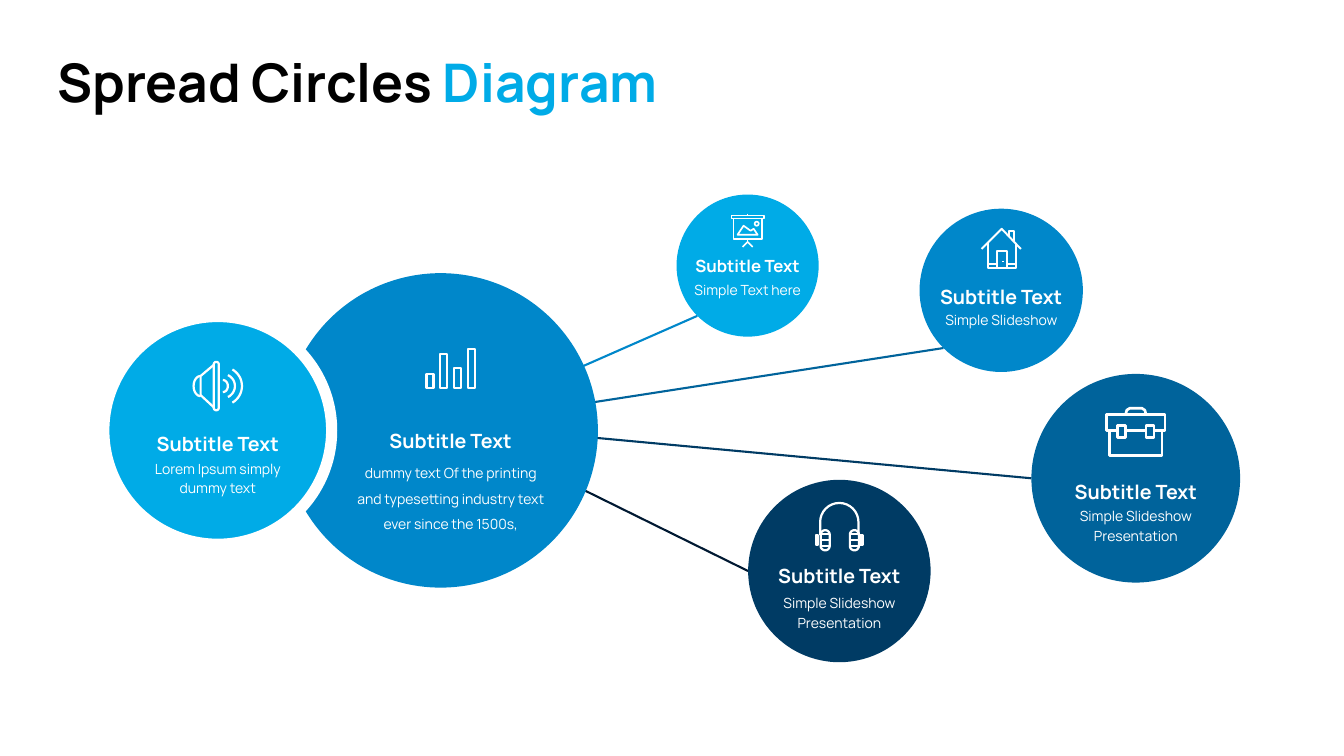
from dataclasses import dataclass
from math import cos, radians, sin

from lxml.etree import SubElement
from pptx import Presentation
from pptx.dml.color import RGBColor
from pptx.enum.shapes import MSO_CONNECTOR, MSO_SHAPE
from pptx.enum.text import MSO_AUTO_SIZE, PP_ALIGN
from pptx.oxml.ns import qn
from pptx.util import Inches, Pt

COLORS = {
    "white": "FFFFFF", "black": "000000", "sky": "00ABE7", "blue": "0087CA",
    "steel": "00639B", "navy": "003B64", "midnight": "001932",
}
FONT = "Manrope"
HUB = (4.47, 4.21)


@dataclass
class Bubble:
    """A circle with its icon, subtitle and text; offsets count from its top."""
    left: float
    top: float
    diameter: float
    fill: str
    icon: str
    icon_offset: float
    subtitle_offset: float
    body_offset: float
    body: str
    text_width: float = 1.88
    subtitle_size: int = 14
    body_height: float = 0.48
    line_spacing: int = 14
    shift: float = 0
    outline: str = ""
    link: str = ""
    link_angle: int = 180


BUBBLES = [
    Bubble(2.81, 2.71, 3.12, "blue", "chart", 0.74, 1.5, 1.77,
           "dummy text Of the printing and typesetting industry text ever since the 1500s,",
           text_width=2.16, body_height=0.83, line_spacing=18, shift=0.1),
    Bubble(1.03, 3.14, 2.26, "sky", "speaker", 0.44, 1.1, 1.35,
           "Lorem Ipsum simply dummy text", outline="white"),
    Bubble(6.71, 1.93, 1.41, "sky", "board", 0.19, 0.56, 0.79, "Simple Text here",
           text_width=1.28, subtitle_size=12, link="blue", link_angle=135),
    Bubble(9.12, 2.07, 1.62, "blue", "house", 0.19, 0.71, 0.94, "Simple Slideshow",
           text_width=1.45, link="steel", link_angle=135),
    Bubble(10.23, 3.71, 2.07, "steel", "briefcase", 0.33, 1, 1.25,
           "Simple Slideshow Presentation", link="navy"),
    Bubble(7.42, 4.76, 1.81, "navy", "headphones", 0.21, 0.79, 1.06,
           "Simple Slideshow Presentation", link="midnight"),
]


def color(name):
    """Return the named colour."""
    return RGBColor.from_string(COLORS[name])


def arc(x, y, radius_x, radius_y, start, end):
    """Return points along an arc, with angles running clockwise."""
    angles = [radians(start + (end - start) * step / 16) for step in range(17)]
    return [(x + radius_x * cos(a), y + radius_y * sin(a)) for a in angles]


def rect(x, y, width, height):
    """Return the closed outline of a rectangle."""
    right, bottom = x + width, y + height
    return [(x, y), (right, y), (right, bottom), (x, bottom), (x, y)]


def pill(x, top, bottom, radius):
    """Return the closed outline of an upright pill."""
    points = arc(x, top + radius, radius, radius, 180, 360)
    points += arc(x, bottom - radius, radius, radius, 0, 180)
    return points + points[:1]


def headphone_cup(x, outer_x):
    """Return the strokes of one ear cup."""
    rungs = [[(x - 0.045, y), (x + 0.045, y)] for y in (0.33, 0.39, 0.45)]
    return [pill(x, 0.29, 0.49, 0.045), rect(outer_x, 0.34, 0.02, 0.1), *rungs]


ICONS = {
    "chart": (0.5, 1.6, [rect(0.01 + 0.137 * i, top, 0.07, 0.4 - top)
                         for i, top in enumerate((0.26, 0.06, 0.2, 0.01))]),
    "speaker": (0.5, 1.6, [
        pill(0.235, 0.01, 0.49, 0.025),
        [(0.21, 0.04), (0.08, 0.15), (0.08, 0.34), (0.21, 0.46)],
        arc(0.08, 0.25, 0.07, 0.1, 90, 270),
        arc(0.3, 0.25, 0.05, 0.06, -90, 90),
        arc(0.3, 0.25, 0.12, 0.12, -65, 65),
        arc(0.3, 0.25, 0.19, 0.19, -60, 60)]),
    "board": (0.34, 1.2, [
        rect(0.01, 0.02, 0.32, 0.03), rect(0.03, 0.05, 0.28, 0.2),
        [(0.17, 0), (0.17, 0.02)], [(0.17, 0.25), (0.17, 0.28)],
        [(0.12, 0.33), (0.17, 0.28), (0.22, 0.33)],
        [(0.07, 0.21), (0.13, 0.12), (0.2, 0.17), (0.23, 0.15), (0.27, 0.21), (0.07, 0.21)],
        arc(0.26, 0.1, 0.02, 0.02, 0, 360)]),
    "house": (0.41, 1.4, [
        [(0.01, 0.21), (0.21, 0.01), (0.4, 0.21)],
        [(0.07, 0.15), (0.07, 0.4), (0.35, 0.4), (0.35, 0.15)],
        rect(0.16, 0.23, 0.1, 0.17),
        [(0.28, 0.08), (0.28, 0.03), (0.33, 0.03), (0.33, 0.13)],
        [(0.07, 0.36), (0.16, 0.36)], [(0.26, 0.36), (0.35, 0.36)],
        [(0.22, 0.33), (0.22, 0.34)]]),
    "briefcase": (0.6, 1.9, [
        [(0.12, 0.23), (0.01, 0.23), (0.01, 0.07), (0.59, 0.07), (0.59, 0.23), (0.48, 0.23)],
        [(0.2, 0.23), (0.4, 0.23)],
        [(0.04, 0.23), (0.04, 0.48), (0.56, 0.48), (0.56, 0.23)],
        rect(0.12, 0.18, 0.08, 0.12), rect(0.4, 0.18, 0.08, 0.12),
        [(0.2, 0.07), (0.21, 0.03), (0.24, 0.01), (0.36, 0.01), (0.39, 0.03), (0.4, 0.07)]]),
    "headphones": (0.5, 1.6, [
        [(0.06, 0.34), *arc(0.25, 0.21, 0.19, 0.19, 180, 360), (0.44, 0.34)],
        *headphone_cup(0.11, 0.02), *headphone_cup(0.4, 0.46)]),
}


def add_text(page, box, spans, size, bold=False, wrap=True, align=PP_ALIGN.LEFT, spacing=None):
    """Add a one-paragraph text box of (text, colour) spans."""
    frame = page.shapes.add_textbox(*map(Inches, box)).text_frame
    frame.word_wrap = wrap
    frame.auto_size = MSO_AUTO_SIZE.SHAPE_TO_FIT_TEXT
    para = frame.paragraphs[0]
    para.alignment = align
    if spacing:
        para.line_spacing = Pt(spacing)
    for text, name in spans:
        span = para.add_run()
        span.text = text
        span.font.name, span.font.size, span.font.bold = FONT, Pt(size), bold
        span.font.color.rgb = color(name)


def add_icon(page, name, center, top):
    """Draw an icon as one white outline, centred at the given place."""
    width, weight, strokes = ICONS[name]
    left = center - width / 2
    builder = None
    for stroke in strokes:
        points = [(Inches(left + x), Inches(top + y)) for x, y in stroke]
        if builder is None:
            builder = page.shapes.build_freeform(*points[0])
        else:
            builder.move_to(*points[0])
        builder.add_line_segments(points[1:], close=stroke[0] == stroke[-1])
    shape = builder.convert_to_shape()
    shape.shadow.inherit = False
    shape.fill.background()
    shape.line.color.rgb = color("white")
    shape.line.width = Pt(weight)


def add_link(page, bubble):
    """Draw the line from a bubble's edge to the hub."""
    radius, angle = bubble.diameter / 2, radians(bubble.link_angle)
    edge = (bubble.left + radius + radius * cos(angle), bubble.top + radius + radius * sin(angle))
    link = page.shapes.add_connector(MSO_CONNECTOR.STRAIGHT, *map(Inches, edge + HUB))
    link.line.color.rgb = color(bubble.link)
    link.line.width = Pt(1.5)
    SubElement(link._element.spPr, qn("a:effectLst"))


def add_bubble(page, bubble):
    """Draw a bubble with its icon and texts."""
    box = (bubble.left, bubble.top, bubble.diameter, bubble.diameter)
    circle = page.shapes.add_shape(MSO_SHAPE.OVAL, *map(Inches, box))
    circle.shadow.inherit = False
    circle.fill.solid()
    circle.fill.fore_color.rgb = color(bubble.fill)
    if bubble.outline:
        circle.line.color.rgb = color(bubble.outline)
        circle.line.width = Pt(8)
    else:
        circle.line.fill.background()
    center = bubble.left + bubble.diameter / 2 + bubble.shift
    left, width = center - bubble.text_width / 2, bubble.text_width
    add_icon(page, bubble.icon, center, bubble.top + bubble.icon_offset)
    add_text(page, (left, bubble.top + bubble.subtitle_offset, width, 0.34),
             [("Subtitle Text", "white")], bubble.subtitle_size, bold=True, align=PP_ALIGN.CENTER)
    add_text(page, (left, bubble.top + bubble.body_offset, width, bubble.body_height),
             [(bubble.body, "white")], 10, align=PP_ALIGN.CENTER, spacing=bubble.line_spacing)


def main():
    """Build the slide and save the deck."""
    deck = Presentation()
    deck.slide_width, deck.slide_height = Inches(13.33), Inches(7.5)
    page = deck.slides.add_slide(deck.slide_layouts[6])
    add_text(page, (0.47, 0.44, 6.71, 0.74),
             [("Spread Circles ", "black"), ("Diagram", "sky")], 38, bold=True, wrap=False)
    for bubble in BUBBLES:
        if bubble.link:
            add_link(page, bubble)
    for bubble in BUBBLES:
        add_bubble(page, bubble)
    deck.save("out.pptx")


if __name__ == "__main__":
    main()
